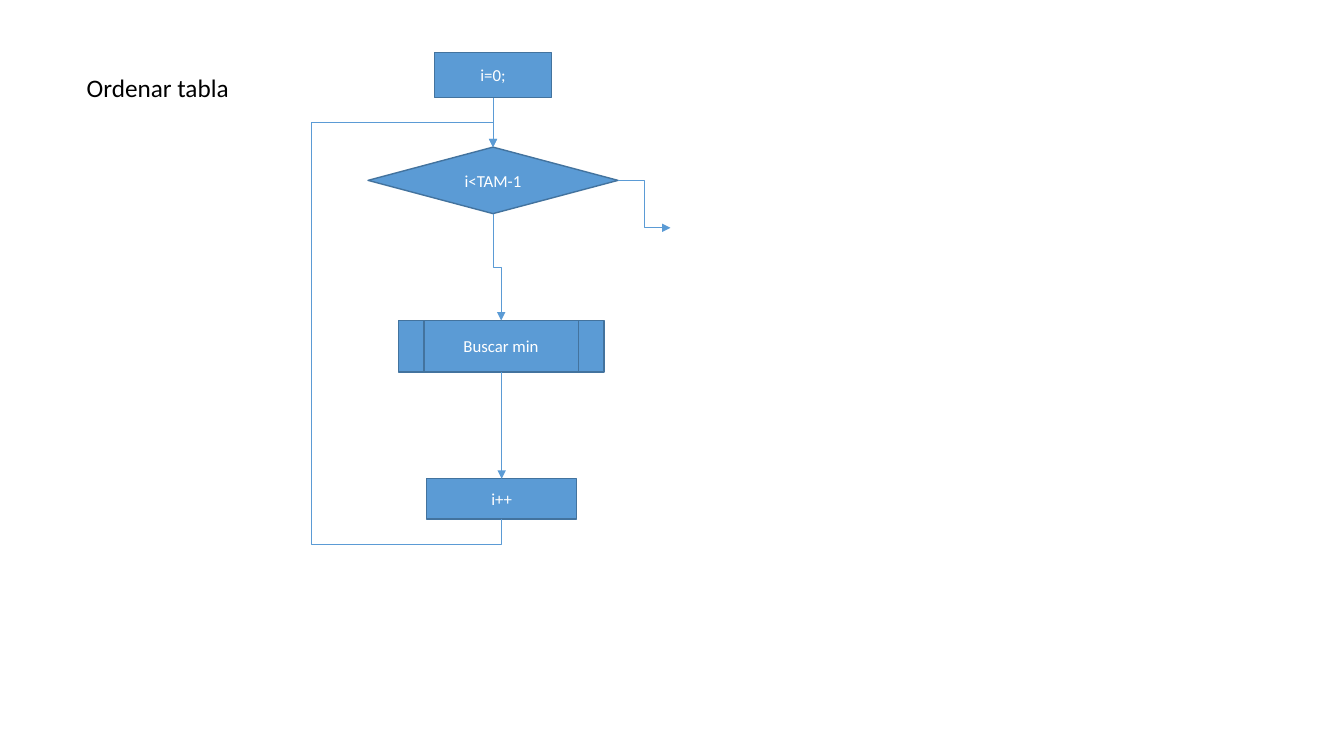
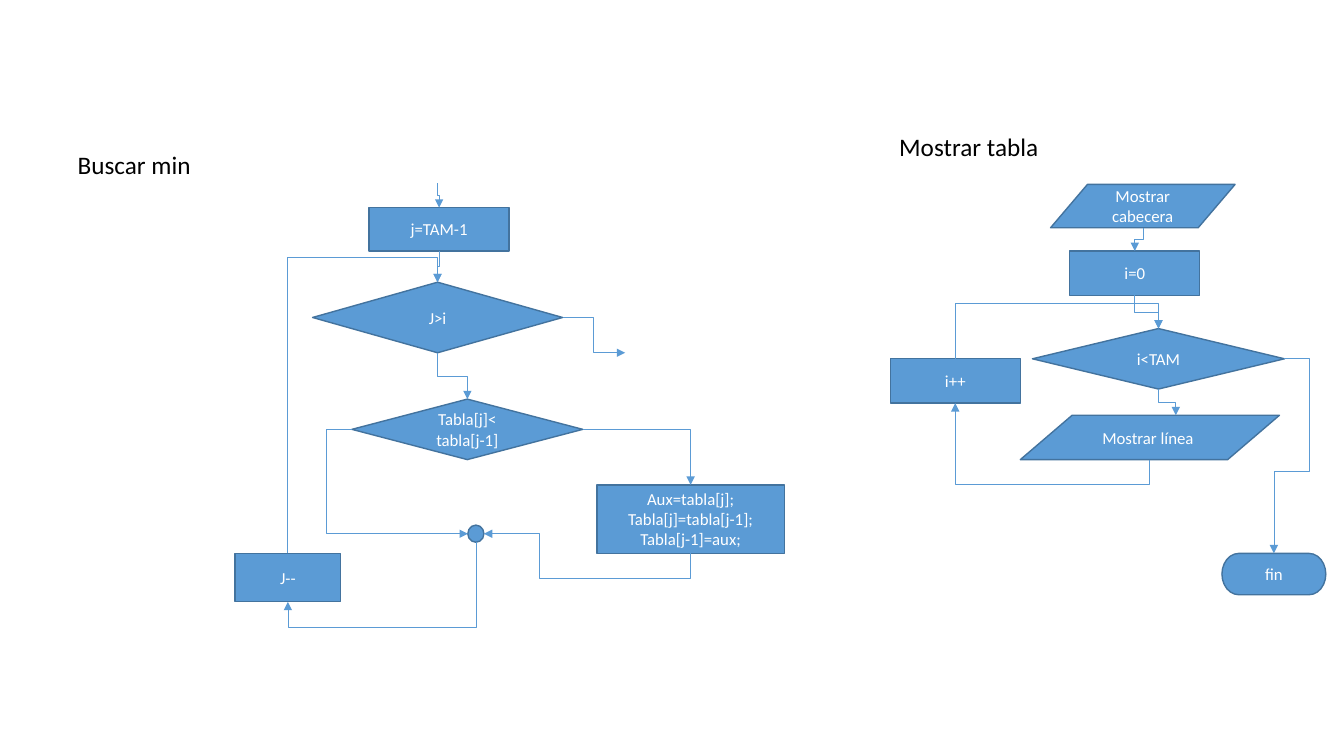
"""Build two slides of flowcharts for sorting and showing a table."""
from lxml.etree import SubElement
from pptx import Presentation
from pptx.dml.color import RGBColor
from pptx.enum.shapes import MSO_CONNECTOR as Link, MSO_SHAPE as Kind
from pptx.enum.text import MSO_ANCHOR as Anchor, MSO_AUTO_SIZE as Fit, PP_ALIGN as Align
from pptx.oxml.ns import qn
from pptx.util import Inches, Pt

FONT, BLUE, EDGE, WHITE, BLACK = "Calibri", "5B9BD5", "43739E", "FFFFFF", "000000"
BOX, TEST, CALL = Kind.RECTANGLE, Kind.FLOWCHART_DECISION, Kind.FLOWCHART_PREDEFINED_PROCESS
DATA, JOIN, END = Kind.FLOWCHART_DATA, Kind.FLOWCHART_CONNECTOR, Kind.FLOWCHART_TERMINATOR

SPOTS = {"T": (0.5, 0), "L": (0, 0.5), "B": (0.5, 1), "R": (1, 0.5)}
DATA_SPOTS = SPOTS | {"T": (0.6, 0)}
SITES = {"T": 0, "L": 1, "B": 2, "R": 3}
ODD_SITES = {DATA: {"T": 0, "B": 4}, JOIN: {"L": 2, "B": 4, "R": 6}}

# Nodes: name, kind, (left, top, width, height), text. Links: start, end, bends.
SLIDES = [
    {
        "heads": [("Ordenar tabla", (0.76, 0.67, 1.63, 0.4))],
        "nodes": [
            ("init", BOX, (4.31, 0.52, 1.16, 0.45), "i=0;"),
            ("test", TEST, (3.65, 1.46, 2.48, 0.66), "i<TAM-1"),
            ("find", CALL, (3.95, 3.18, 2.04, 0.51), "Buscar min"),
            ("next", BOX, (4.23, 4.75, 1.49, 0.4), "i++"),
        ],
        "links": [
            ("init.B", "test.T", None),
            ("test.B", "find.T", None),
            ("find.B", "next.T", None),
            ("next.B", "test.T", (5.4, 3.09, 1.21)),
            ("test.R", (6.65, 2.26), None),
        ],
    },
    {
        "heads": [
            ("Buscar min", (0.67, 1.43, 1.33, 0.4)),
            ("Mostrar tabla", (8.82, 1.25, 1.59, 0.4)),
        ],
        "nodes": [
            ("init", BOX, (3.66, 2.06, 1.39, 0.43), "j=TAM-1"),
            ("test", TEST, (3.1, 2.8, 2.48, 0.7), "J>i"),
            ("less", TEST, (3.49, 3.96, 2.29, 0.6), "Tabla[j]< tabla[j-1]"),
            ("swap", BOX, (5.92, 4.81, 1.86, 0.68),
             "Aux=tabla[j];\nTabla[j]=tabla[j-1];\nTabla[j-1]=aux;"),
            ("back", BOX, (2.33, 5.49, 1.05, 0.48), "J--"),
            ("join", JOIN, (4.64, 5.21, 0.16, 0.17), ""),
            ("head", DATA, (10.42, 1.83, 1.83, 0.43), "Mostrar cabecera"),
            ("zero", BOX, (10.61, 2.49, 1.29, 0.44), "i=0"),
            ("more", TEST, (10.24, 3.26, 2.5, 0.6), "i<TAM"),
            ("row", DATA, (10.12, 4.12, 2.57, 0.44), "Mostrar línea "),
            ("next", BOX, (8.83, 3.56, 1.29, 0.44), "i++"),
            ("end", END, (12.12, 5.49, 1.03, 0.41), "fin"),
        ],
        "links": [
            ((4.34, 1.82), "init.T", None),
            ("init.B", "test.T", None),
            ("test.B", "less.T", None),
            ("less.R", "swap.T", ()),
            ("less.L", "join.L", (3.24,)),
            ("swap.B", "join.R", (5.74, 5.35)),
            ("join.B", "back.B", (6.22,)),
            ("back.T", "test.T", (2.55,)),
            ("test.R", (6.2, 3.5), None),
            ("head.B", "zero.T", None),
            ("zero.B", "more.T", None),
            ("more.B", "row.T", None),
            ("row.B", "next.B", (4.81,)),
            ("next.T", "more.T", (3.01,)),
            ("more.R", "end.T", (12.99, 4.68)),
        ],
    },
]


def color(code):
    """Turn a hex string into a colour."""
    return RGBColor.from_string(code)


def style(frame, size, code, align):
    """Set font and alignment on every paragraph."""
    for para in frame.paragraphs:
        para.alignment = align
        para.font.name, para.font.size = FONT, Pt(size)
        para.font.color.rgb = color(code)


def add_head(shape, text, place):
    """Place and format a heading."""
    shape.left, shape.top, shape.width, shape.height = map(Inches, place)
    frame = shape.text_frame
    frame.text = text
    frame.word_wrap, frame.auto_size = False, Fit.SHAPE_TO_FIT_TEXT
    frame.vertical_anchor = Anchor.TOP
    style(frame, 18, BLACK, Align.LEFT)


def add_node(slide, kind, place, text):
    """Draw one flowchart symbol."""
    shape = slide.shapes.add_shape(kind, *map(Inches, place))
    shape.shadow.inherit = False
    shape.fill.solid()
    shape.fill.fore_color.rgb = color(BLUE)
    shape.line.color.rgb, shape.line.width = color(EDGE), Pt(1)
    if text:
        shape.text_frame.text = text
        shape.text_frame.vertical_anchor = Anchor.MIDDLE
        style(shape.text_frame, 12, WHITE, Align.CENTER)
    return shape


def locate(end, nodes):
    """Give the point, the side and the glue of a link end."""
    if not isinstance(end, str):
        return end, "T", None
    name, side = end.split(".")
    shape, kind, (left, top, wide, high) = nodes[name]
    fx, fy = (DATA_SPOTS if kind == DATA else SPOTS)[side]
    site = ODD_SITES.get(kind, SITES)[side]
    return (left + fx * wide, top + fy * high), side, (shape.shape_id, site)


def add_link(slide, nodes, start, end, bends):
    """Draw a bent arrow, turned when it leaves up or down."""
    a, side, glue = locate(start, nodes)
    b, _, stop = locate(end, nodes)
    delta = b[0] - a[0], b[1] - a[1]
    dx, dy = delta
    axis = int(side in "TB")
    turn = 0
    ends = (*a, *b)
    if axis:
        turn = -1 if dx > 0 and dy > 0 else 1
        cx, cy = (a[0] + b[0]) / 2, (a[1] + b[1]) / 2
        px, py = turn * dy / 2, turn * dx / 2
        ends = cx - px, cy + py, cx + px, cy - py
    link = slide.shapes.add_connector(Link.ELBOW, *map(Inches, ends))
    link.line.color.rgb, link.line.width = color(BLUE), Pt(0.5)
    node = link._element
    props = node.spPr
    if turn:
        props.find(qn("a:xfrm")).set("rot", str(turn * 90 % 360 * 60000))
    if bends is not None:
        geom = props.find(qn("a:prstGeom"))
        geom.set("prst", f"bentConnector{len(bends) + 2}")
        for i, bend in enumerate(bends):
            way = (axis + i) % 2
            ratio = round((bend - a[way]) / delta[way] * 100000)
            SubElement(geom.find(qn("a:avLst")), qn("a:gd"),
                       name=f"adj{i + 1}", fmla=f"val {ratio}")
    SubElement(props.find(qn("a:ln")), qn("a:tailEnd"), type="triangle")
    SubElement(props, qn("a:effectLst"))
    hold = node.find(".//" + qn("p:cNvCxnSpPr"))
    for tag, spot in (("a:stCxn", glue), ("a:endCxn", stop)):
        if spot:
            SubElement(hold, qn(tag), id=str(spot[0]), idx=str(spot[1]))


def build():
    """Make and save the deck."""
    deck = Presentation()
    deck.slide_width, deck.slide_height = Inches(13.33), Inches(7.5)
    for item in SLIDES:
        slide = deck.slides.add_slide(deck.slide_layouts[5])
        for i, (text, place) in enumerate(item["heads"]):
            shape = slide.shapes.add_textbox(0, 0, 0, 0) if i else slide.shapes.title
            add_head(shape, text, place)
        nodes = {}
        for name, kind, place, text in item["nodes"]:
            nodes[name] = add_node(slide, kind, place, text), kind, place
        for link in item["links"]:
            add_link(slide, nodes, *link)
    deck.save("out.pptx")


build()
